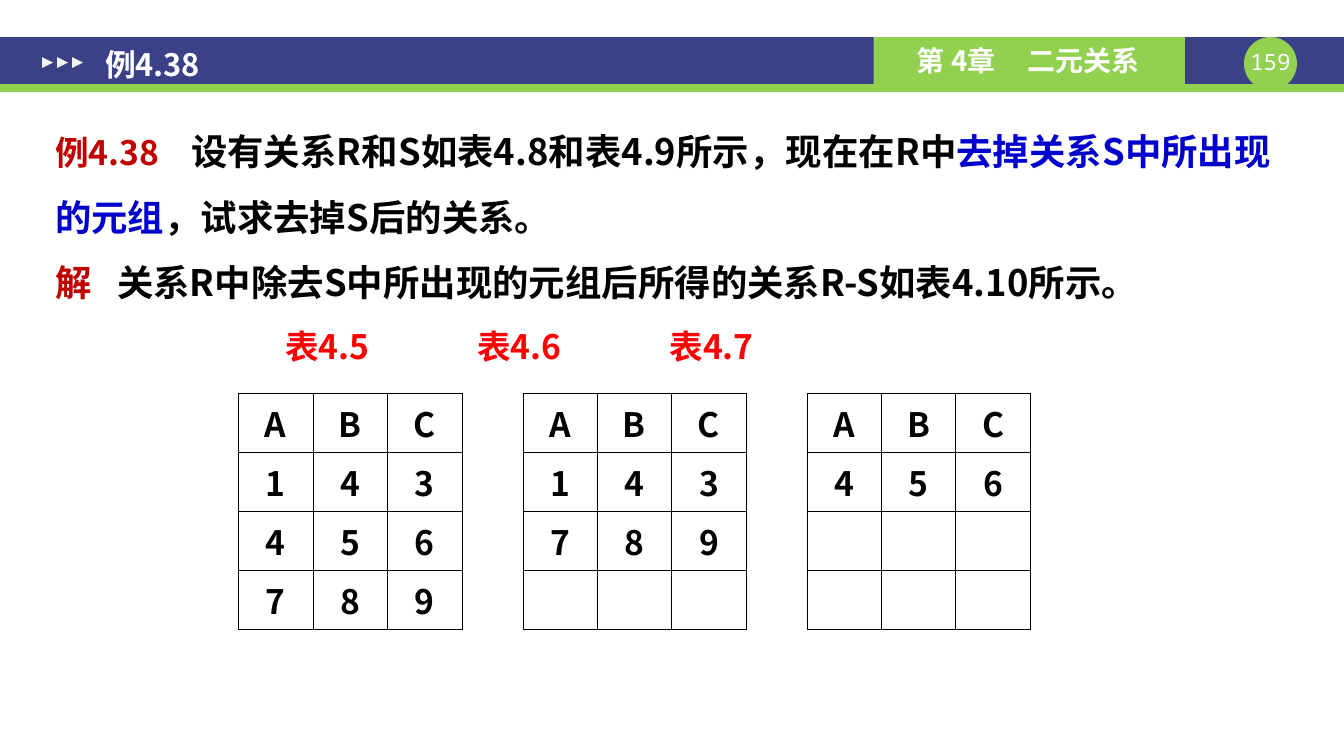
from lxml import etree
from pptx import Presentation
from pptx import util as u
from pptx.dml import color
from pptx.enum import shapes, text
from pptx.oxml import ns

PX = 9080
CJK = "Noto Sans CJK SC"
WHITE, BLACK, NAVY, GREEN = "FFFFFF", "000000", "3A4187", "92D050"
DARK_RED, BLUE, RED = "C00000", "0000CC", "FF0000"
RELATIONS = [
    ["ABC", "143", "456", "789"],
    ["ABC", "143", "789", ""],
    ["ABC", "456", "", ""],
]
COLUMN_WIDTHS = [75, 74, 75, 61, 74, 74, 75, 61, 74, 74, 75]


def px(*lengths):
    """Turn pixel lengths into EMU."""
    return [u.Emu(length * PX) for length in lengths]


def rgb(code):
    """Turn a hex string into a colour."""
    return color.RGBColor.from_string(code)


def add_block(page, kind, place, fill, rotation=0):
    """Add a plain filled shape without outline."""
    block = page.shapes.add_shape(kind, *px(*place))
    block.shadow.inherit = False
    block.fill.solid()
    block.fill.fore_color.rgb = rgb(fill)
    block.line.fill.background()
    block.rotation = rotation
    return block


def add_span(para, words, size=24, ink=BLACK, font=CJK, bold=True):
    """Append formatted words to a paragraph."""
    span = para.add_run()
    span.text = words
    span.font.size = u.Pt(size)
    span.font.bold = bold
    span.font.name = font
    span.font.color.rgb = rgb(ink)
    east_asian = etree.SubElement(span._r.get_or_add_rPr(), ns.qn("a:ea"))
    east_asian.set("typeface", font)


def add_tabs(para, *stops):
    """Give a paragraph left tab stops."""
    tab_list = etree.SubElement(para._p.get_or_add_pPr(), ns.qn("a:tabLst"))
    for stop in stops:
        etree.SubElement(tab_list, ns.qn("a:tab"), pos=str(stop * PX), algn="l")


def set_frame(frame, insets, anchor=text.MSO_ANCHOR.TOP):
    """Set wrapping, insets and anchor, and return the first paragraph."""
    frame.word_wrap = True
    frame.margin_left, frame.margin_top, frame.margin_right, frame.margin_bottom = px(*insets)
    frame.vertical_anchor = anchor
    para = frame.paragraphs[0]
    para.alignment = text.PP_ALIGN.LEFT
    return para


def add_text(page, place, insets, anchor=text.MSO_ANCHOR.TOP):
    """Add a text box and return its first paragraph and frame."""
    box = page.shapes.add_textbox(*px(*place))
    return set_frame(box.text_frame, insets, anchor), box.text_frame


def add_header(page):
    """Draw the title band, chapter tag and page number."""
    preset = shapes.MSO_SHAPE
    add_block(page, preset.RECTANGLE, (0, 37, 1343, 47), NAVY)
    add_block(page, preset.RECTANGLE, (0, 84, 1343, 8), GREEN)
    add_block(page, preset.OVAL, (1243, 37, 53, 53), GREEN)
    number, _ = add_text(page, (1243, 48, 53, 27), (0, 0, 0, 0))
    number.alignment = text.PP_ALIGN.CENTER
    add_span(number, "159", size=16, ink=WHITE, font="Noto Sans Mono", bold=False)

    tag = add_block(page, preset.RECTANGLE, (873, 37, 311, 47), GREEN)
    chapter = set_frame(tag.text_frame, (43, 5, 10, 5), text.MSO_ANCHOR.MIDDLE)
    add_tabs(chapter, 111)
    add_span(chapter, "第 4章\t二元关系", size=20, ink=WHITE)

    for index in range(3):
        add_block(page, preset.ISOSCELES_TRIANGLE, (42 + 15 * index, 57, 11, 11), "F2F2F2", 90)
    title, _ = add_text(page, (92, 32, 1185, 64), (13, 7, 13, 7), text.MSO_ANCHOR.MIDDLE)
    add_span(title, "例4.38", size=22, ink=WHITE)


def add_problem(page):
    """Write the problem and its solution."""
    problem, frame = add_text(page, (42, 97, 1259, 229), (13, 11, 13, 7))
    solution = frame.add_paragraph()
    for para, stop in ((problem, 136), (solution, 62)):
        para.line_spacing = u.Pt(46.5)
        add_tabs(para, stop)
    add_span(problem, "例4.38\t", ink=DARK_RED)
    add_span(problem, "设有关系R和S如表4.8和表4.9所示，现在在R中", size=26)
    add_span(problem, "去掉关系S中所出现的元组", size=26, ink=BLUE)
    add_span(problem, "，试求去掉S后的关系。", size=26)
    add_span(solution, "解\t", size=26, ink=DARK_RED)
    add_span(solution, "关系R中除去S中所出现的元组后所得的关系R-S如表4.10所示。", size=26)


def set_borders(cell, sides, drawn):
    """Draw or hide the named borders of a cell."""
    for side in sides:
        line = etree.SubElement(cell._tc.get_or_add_tcPr(), ns.qn(f"a:ln{side}"), w="12700")
        if drawn:
            fill = etree.SubElement(line, ns.qn("a:solidFill"))
            etree.SubElement(fill, ns.qn("a:srgbClr"), val=BLACK)
        else:
            etree.SubElement(line, ns.qn("a:noFill"))


def add_relations(page):
    """Build the three relations in one table, parted by open columns."""
    height = 59
    table = page.shapes.add_table(4, 11, *px(238, 393, sum(COLUMN_WIDTHS), 4 * height)).table
    table.first_row = table.horz_banding = False
    for column, width in zip(table.columns, COLUMN_WIDTHS):
        column.width = px(width)[0]
    for row_index, row in enumerate(table.rows):
        row.height = px(height)[0]
        for column_index, cell in enumerate(row.cells):
            relation, place = divmod(column_index, 4)
            is_gap = place == 3
            set_borders(cell, "LR", True)
            set_borders(cell, "TB", not is_gap)
            cell.fill.background()
            cell.vertical_anchor = text.MSO_ANCHOR.MIDDLE
            cell.margin_top = cell.margin_bottom = px(4)[0]
            values = RELATIONS[relation][row_index]
            if values and not is_gap:
                para = cell.text_frame.paragraphs[0]
                para.alignment = text.PP_ALIGN.CENTER
                add_span(para, values[place])


def add_captions(page):
    """Write the table captions on one tabbed line."""
    para, _ = add_text(page, (261, 325, 777, 50), (24, 0, 10, 0))
    add_tabs(para, 192, 384)
    add_span(para, "表4.5\t表4.6\t表4.7", ink=RED)


def main():
    """Build and save the slide."""
    deck = Presentation()
    deck.slide_width, deck.slide_height = px(1343, 755)
    page = deck.slides.add_slide(deck.slide_layouts[6])
    add_header(page)
    add_problem(page)
    add_relations(page)
    add_captions(page)
    deck.save("out.pptx")


if __name__ == "__main__":
    main()
